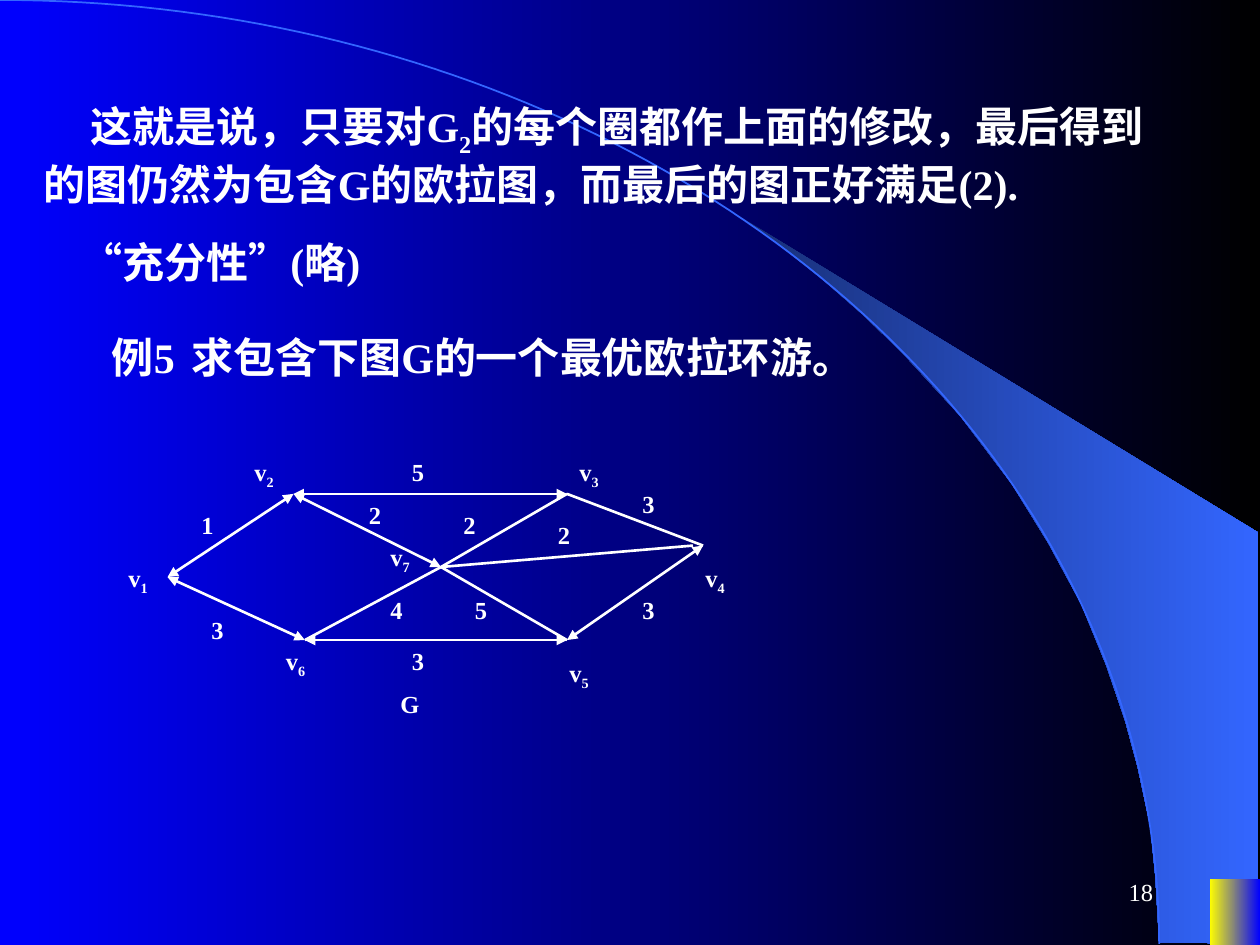
from math import cos, pi, sin

from pptx import Presentation
from pptx.dml.color import RGBColor
from pptx.enum.shapes import MSO_CONNECTOR, MSO_SHAPE
from pptx.enum.text import MSO_ANCHOR, MSO_AUTO_SIZE, PP_ALIGN
from pptx.oxml.ns import qn
from pptx.util import Inches, Pt

LINE = MSO_CONNECTOR.STRAIGHT
RECT = MSO_SHAPE.RECTANGLE
MID, FIT = MSO_ANCHOR.MIDDLE, MSO_AUTO_SIZE.SHAPE_TO_FIT_TEXT
LEFT, RIGHT = PP_ALIGN.LEFT, PP_ALIGN.RIGHT
FONT = "Times New Roman"
HEX = {"white": "FFFFFF", "blue": "0000FF", "black": "000000",
       "navy": "182F76", "sky": "3366FF", "gold": "FFFF00"}
NODES = {"1": (1.33, 4.58), "2": (2.33, 3.92), "3": (4.5, 3.92),
         "4": (5.58, 4.33), "5": (4.5, 5.08), "6": (2.42, 5.08),
         "7": (3.5, 4.5)}
NAMES = {"1": (0.92, 4.42), "2": (1.92, 3.58), "3": (4.5, 3.58),
         "4": (5.5, 4.42), "5": (4.42, 5.17), "6": (2.17, 5.08),
         "7": (3, 4.25)}
ARROWS = ["23", "21", "16", "65", "54", "27"]
PLAIN = ["34", "37", "76", "75"]
COSTS = [("1", 1.5, 4), ("3", 1.58, 4.83), ("2", 3.58, 4), ("2", 2.83, 3.92),
         ("5", 3.17, 3.58), ("2", 4.33, 4.08), ("3", 5, 3.83), ("3", 5, 4.67),
         ("3", 3.17, 5.08), ("5", 3.67, 4.67), ("4", 3, 4.67), ("G", 3.08, 5.42)]
WEDGE = [(9.2, 7.48), (9.99, 7.49), (9.99, 4.23), (5.89, 1.73), (6.24, 1.99),
         (6.53, 2.22), (6.85, 2.5), (7.16, 2.8), (7.62, 3.3), (8.03, 3.84),
         (8.32, 4.31), (8.58, 4.79), (8.78, 5.28), (8.93, 5.72), (9.03, 6.09),
         (9.13, 6.56), (9.17, 6.96)]


def rgb(name):
    """Return the named colour."""
    return RGBColor.from_string(HEX[name])


class Deck:
    """Holds the style and the current slide."""

    def __init__(self):
        """Start a deck with one blank slide."""
        self.prs = Presentation()
        self.prs.slide_width, self.prs.slide_height = Inches(10), Inches(7.5)
        self.slide = self.prs.slides.add_slide(self.prs.slide_layouts[6])
        self.shapes = self.slide.shapes

    def fade(self, fill, *names):
        """Fill from left to right with two colours."""
        fill.gradient()
        fill.gradient_angle = 0
        for stop, name in zip(fill.gradient_stops, names):
            stop.color.rgb = rgb(name)

    def back(self, *names):
        """Colour the background."""
        self.fade(self.slide.background.fill, *names)

    def block(self, x, y, w, h, *names):
        """Add a faded rectangle."""
        shape = self.shapes.add_shape(RECT, Inches(x), Inches(y), Inches(w), Inches(h))
        shape.shadow.inherit = False
        shape.line.fill.background()
        self.fade(shape.fill, *names)

    def trace(self, points, close):
        """Add an outline through the points."""
        first, *rest = [(Inches(x), Inches(y)) for x, y in points]
        pen = self.shapes.build_freeform(*first)
        pen.add_line_segments(rest, close=close)
        shape = pen.convert_to_shape()
        shape.shadow.inherit = False
        return shape

    def wedge(self, points, *names):
        """Add a faded polygon."""
        shape = self.trace(points, True)
        shape.line.fill.background()
        self.fade(shape.fill, *names)

    def curve(self, w, h, name, steps=90):
        """Add a quarter ellipse from the top left corner."""
        turns = [pi / 2 * i / steps for i in range(steps + 1)]
        shape = self.trace([(w * sin(t), h - h * cos(t)) for t in turns], False)
        shape.fill.background()
        shape.line.color.rgb = rgb(name)
        shape.line.width = Pt(1)

    def edge(self, start, end, heads):
        """Add a line, with arrowheads at both ends if asked."""
        line = self.shapes.add_connector(LINE, *map(Inches, start + end))
        line.line.color.rgb = rgb("white")
        line.line.width = Pt(1.5)
        props = line._element.spPr
        props.append(props.makeelement(qn("a:effectLst"), {}))
        if heads:
            stroke = line.line._get_or_add_ln()
            for tag in ("a:headEnd", "a:tailEnd"):
                stroke.append(stroke.makeelement(qn(tag), {"type": "triangle"}))

    def text(self, x, y, w, h, *parts, size=14, bold=True, align=LEFT,
             indent=0, tab=None):
        """Add a text box in which every second part is a subscript."""
        box = self.shapes.add_textbox(Inches(x), Inches(y), Inches(w), Inches(h))
        frame = box.text_frame
        frame.word_wrap = True
        para = frame.paragraphs[0]
        para.alignment = align
        props = para._p.get_or_add_pPr()
        if indent:
            props.set("indent", str(Inches(indent)))
        if tab:
            tabs = props.makeelement(qn("a:tabLst"), {})
            stop = {"pos": str(Inches(tab)), "algn": "l"}
            tabs.append(tabs.makeelement(qn("a:tab"), stop))
            props.append(tabs)
        font = para.font
        font.name, font.size, font.bold = FONT, Pt(size), bold
        font.color.rgb = rgb("white")
        for i, part in enumerate(parts):
            run = para.add_run()
            run.text = part
            if i % 2:
                run._r.get_or_add_rPr().set("baseline", "-25000")
        return frame

    def prose(self, x, y, w, h, *parts, tab=None):
        """Add a large text with an indented first line."""
        frame = self.text(x, y, w, h, *parts, size=24, indent=0.37, tab=tab)
        frame.auto_size = FIT

    def page(self, num):
        """Add the page number."""
        frame = self.text(7.17, 6.83, 2.08, 0.5, num, bold=False, align=RIGHT)
        frame.vertical_anchor = MID


def main():
    """Build the slide."""
    deck = Deck()
    deck.back("blue", "black")
    deck.wedge(WEDGE, "navy", "sky")
    deck.curve(9.2, 7.49, "sky")
    deck.block(9.6, 6.98, 0.4, 0.52, "gold", "blue")
    deck.page("18")
    deck.prose(0.25, 0.75, 9.08, 0.96, "这就是说，只要对G", "2",
               "的每个圈都作上面的修改，最后得到的图仍然为包含G的欧拉图，"
               "而最后的图正好满足(2).")
    deck.prose(0.17, 1.83, 8.75, 0.5, "“充分性”(略)")
    deck.prose(0.42, 2.58, 8.75, 0.5, "例5\t求包含下图G的一个最优欧拉环游。", tab=1.2)
    for pairs, heads in ((ARROWS, True), (PLAIN, False)):
        for a, b in pairs:
            deck.edge(NODES[a], NODES[b], heads)
    deck.edge(NODES["7"], (5.5, 4.33), False)
    for num, (x, y) in NAMES.items():
        deck.text(x, y, 0.47, 0.37, "v", num)
    for cost, x, y in COSTS:
        deck.text(x, y, 0.47, 0.34, cost)
    deck.prs.save("out.pptx")


if __name__ == "__main__":
    main()
